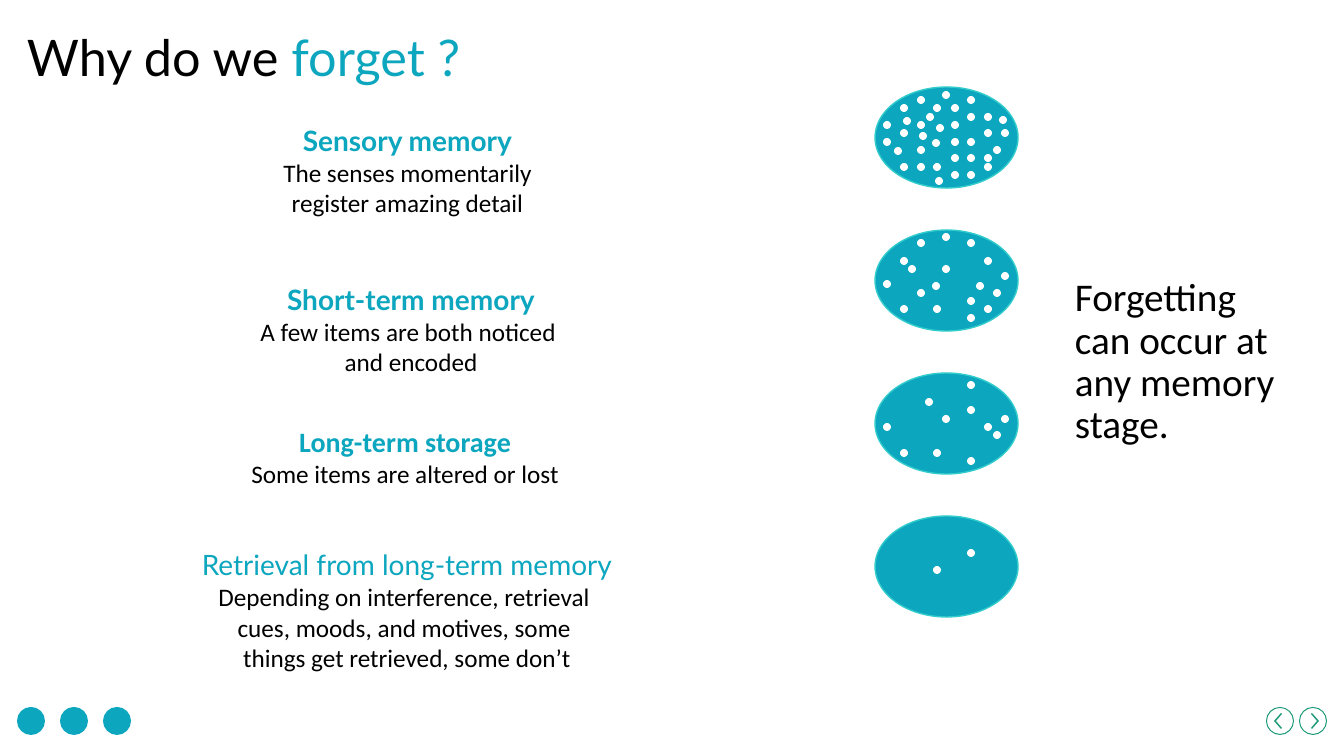
import math
from pptx import Presentation
from pptx import util as u
from pptx.dml.color import RGBColor
from pptx.enum import shapes, text

PX = 914400 / 100.8
TEAL = RGBColor(0x0C, 0xA6, 0xBF)
AQUA = RGBColor(0x33, 0xCC, 0xCC)
GREEN = RGBColor(0x1D, 0x9A, 0x78)
BLACK = RGBColor(0, 0, 0)
WHITE = RGBColor(0xFF, 0xFF, 0xFF)

prs = Presentation()
prs.slide_width, prs.slide_height = u.Inches(13.333), u.Inches(7.5)
s = prs.slides.add_slide(prs.slide_layouts[6])


def add_text(x, y, w, h, paragraphs, align):
    tf = s.shapes.add_textbox(*(round(v * PX) for v in (x, y, w, h))).text_frame
    tf.word_wrap = True
    for i, runs in enumerate(paragraphs):
        p = tf.add_paragraph() if i else tf.paragraphs[0]
        p.alignment = align
        for words, color, fmt in runs:
            r = p.add_run()
            r.text = words
            r.font.color.rgb = color
            for name, value in fmt.items():
                setattr(r.font, name, value)
    return tf


def circle(cx, cy, radius):
    return [(cx + radius * math.cos(a * math.pi / 8), cy + radius * math.sin(a * math.pi / 8))
            for a in range(16)]


TITLE = {"size": u.Pt(36), "name": "Lato"}
HEADING = {"size": u.Pt(20), "name": "Lato"}
BODY = {"size": u.Pt(18), "name": "Calibri", "bold": False}
CLAIM = {"size": u.Pt(28), "name": "Calibri"}

add_text(17, 21, 951, 72,
         [[("Why do we ", BLACK, TITLE), ("forget ?", TEAL, TITLE)]], text.PP_ALIGN.LEFT)

chevron = [(1, -8), (-6, 0), (1, 8), (2, 7), (-4, 0), (2, -7)]
footer = []
for cx, side in ((1280, 1), (1313, -1)):
    arrow = [(cx + side * x, 721 + y) for x, y in chevron]
    footer.append((GREEN, [arrow, circle(cx, 721, 14), circle(cx, 721, 13)]))
footer.append((TEAL, [circle(31 + 43 * i, 721, 14) for i in range(3)]))

for color, contours in footer:
    contours = [[(x * PX, y * PX) for x, y in c] for c in contours]
    fb = s.shapes.build_freeform(*contours[0][0])
    fb.add_line_segments(contours[0][1:], close=True)
    for c in contours[1:]:
        fb.move_to(*c[0])
        fb.add_line_segments(c[1:], close=True)
    sp = fb.convert_to_shape()
    sp.shadow.inherit = False
    sp.fill.solid()
    sp.fill.fore_color.rgb = color
    sp.line.fill.background()

stage_dots = [
    {8: [34, 51], 19: [60], 25: [17, 42, 76], 28: [30], 42: [9, 34, 59, 76], 44: [45],
     51: [26], 57: [52], 58: [17, 76], 60: [90], 61: [37], 67: [4],
     76: [17, 34, 51, 67, 84], 92: [9, 26, 51, 67, 84], 109: [26, 42, 67, 76],
     118: [59], 124: [29], 126: [42]},
    {8: [50], 25: [27, 75], 33: [35], 42: [9, 59], 57: [52], 58: [75], 67: [3, 35],
     92: [9, 67, 84], 101: [52], 109: [27, 75], 118: [59], 126: [42]},
    {8: [50], 25: [76], 50: [25], 58: [76], 67: [42], 92: [8, 33, 84], 109: [50],
     118: [58], 126: [42]},
    {58: [50], 92: [33]},
]
tops = [87 + 143 * i for i in range(4)]
ovals = [(shapes.MSO_SHAPE.OVAL, 875, top, 143, 101, TEAL) for top in tops]
dots = [(shapes.MSO_SHAPE.FLOWCHART_CONNECTOR, 875 + x, top + y, 8, 8, WHITE)
        for top, columns in zip(tops, stage_dots) for x, ys in columns.items() for y in ys]
memory = s.shapes.add_group_shape()
for kind, x, y, w, h, color in ovals + dots:
    sp = memory.shapes.add_shape(kind, *(round(v * PX) for v in (x, y, w, h)))
    sp.shadow.inherit = False
    sp.fill.solid()
    sp.fill.fore_color.rgb = color
    if color == TEAL:
        sp.line.color.rgb = AQUA
        sp.line.width = u.Pt(1)
    else:
        sp.line.fill.background()

tf = add_text(1065, 273, 238, 183,
              [[("Forgetting can occur at any memory stage.", BLACK, CLAIM)]], text.PP_ALIGN.LEFT)
tf.paragraphs[0].line_spacing = 0.9

stages = [
    (234, 119, 347, 105, "Sensory memory", {"bold": True},
     ["The senses momentarily register amazing detail"]),
    (75, 278, 672, 105, "Short-term memory", {"bold": True},
     ["A few items are both noticed ", "and encoded"]),
    (69, 420, 672, 75, "Long-term storage", {"bold": True, "name": "Calibri"},
     ["Some items are altered or lost"]),
    (71, 543, 672, 136, "Retrieval from long-term memory", {},
     ["Depending on interference, retrieval ", "cues, moods, and motives, some ",
      "things get retrieved, some don’t"]),
]
for x, y, w, h, heading, fmt, lines in stages:
    paragraphs = [[(heading, TEAL, HEADING | fmt)]] + [[(line, BLACK, BODY)] for line in lines]
    add_text(x, y, w, h, paragraphs, text.PP_ALIGN.CENTER)

prs.save("out.pptx")
